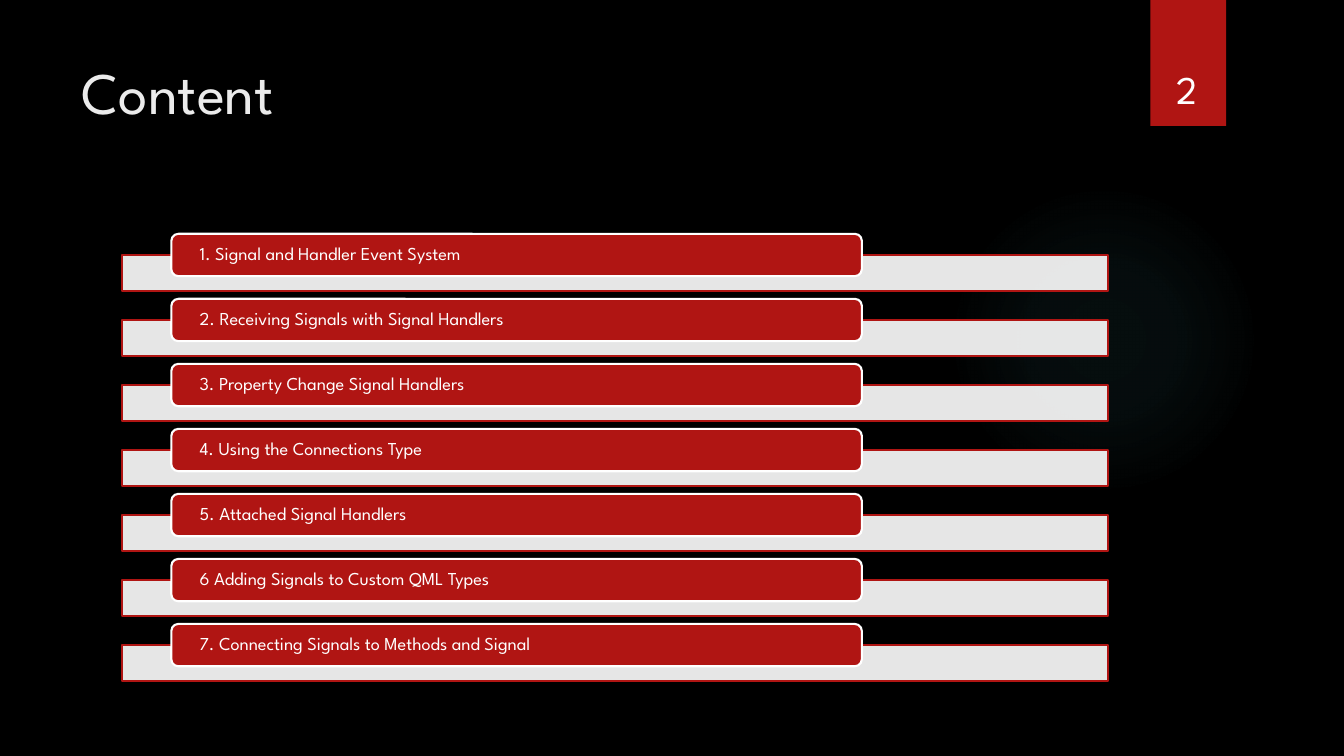
from dataclasses import dataclass

from lxml import etree
from pptx import Presentation
from pptx import util as u
from pptx.dml.color import RGBColor
from pptx.enum import shapes, text
from pptx.oxml import ns

WIDE, HIGH = u.Inches(13.333), u.Inches(7.5)
FONT = "League Spartan"
RED, WHITE, TEAL = "B01513", "FFFFFF", "50B9C1"
PITCH = 8.6
TOPICS = (
    "1. Signal and Handler Event System",
    "2. Receiving Signals with Signal Handlers",
    "3. Property Change Signal Handlers",
    "4. Using the Connections Type",
    "5. Attached Signal Handlers",
    "6 Adding Signals to Custom QML Types",
    "7. Connecting Signals to Methods and Signal",
)


@dataclass(frozen=True)
class Box:
    """A frame in percent of the slide's width and height."""
    x: float
    y: float
    w: float
    h: float

    def down(self, rows: int) -> "Box":
        """Return the frame moved down by list rows."""
        return Box(self.x, self.y + rows * PITCH, self.w, self.h)

    def emu(self) -> tuple:
        """Return left, top, width and height as lengths."""
        return tuple(round(part * side / 100) for part, side in
                     zip((self.x, self.y, self.w, self.h), (WIDE, HIGH) * 2))


@dataclass(frozen=True)
class Style:
    """The look of a shape."""
    kind: int
    fill: str
    line: str = ""
    alpha: int = 100


HALO = Box(70.58, 24.4, 23.1, 41.07)
FLAG = Box(85.6, 0, 5.63, 16.67)
TITLE = Box(5.33, 6.67, 77.18, 20.4)
STRIP = Box(9.08, 33.73, 73.35, 4.8)
PILL = Box(12.75, 30.93, 51.38, 5.6)
PAGE = Box(84.9, 4.27, 6.9, 11.2)
RECT = shapes.MSO_SHAPE.RECTANGLE
GLOW = Style(shapes.MSO_SHAPE.OVAL, TEAL)
BLOCK = Style(RECT, RED)
TRACK = Style(RECT, WHITE, RED, 90)
LABEL = Style(shapes.MSO_SHAPE.ROUNDED_RECTANGLE, RED, WHITE)


def tint(code: str) -> RGBColor:
    """Turn a hex string into a colour."""
    return RGBColor.from_string(code)


def fade(node, share: int) -> None:
    """Set the opacity of a colour node in percent."""
    etree.SubElement(node, ns.qn("a:alpha"), val=str(share * 1000))


def draw(slide, box: Box, style: Style):
    """Draw a filled shape."""
    shape = slide.shapes.add_shape(style.kind, *box.emu())
    shape.shadow.inherit = False
    shape.fill.solid()
    shape.fill.fore_color.rgb = tint(style.fill)
    if style.alpha < 100:
        fade(shape.element.spPr.find(".//" + ns.qn("a:srgbClr")), style.alpha)
    if style.line:
        shape.line.color.rgb = tint(style.line)
        shape.line.width = u.Pt(1.5)
    else:
        shape.line.fill.background()
    return shape


def glow(slide) -> None:
    """Draw the round halo that fades outwards."""
    props = draw(slide, HALO, GLOW).element.spPr
    solid = props.find(ns.qn("a:solidFill"))
    grad = etree.Element(ns.qn("a:gradFill"), rotWithShape="1")
    stops = etree.SubElement(grad, ns.qn("a:gsLst"))
    for place, share in ((0, 7), (36, 6), (69, 0)):
        stop = etree.SubElement(stops, ns.qn("a:gs"), pos=str(place * 1000))
        fade(etree.SubElement(stop, ns.qn("a:srgbClr"), val=TEAL), share)
    ring = etree.SubElement(grad, ns.qn("a:path"), {"path": "circle"})
    etree.SubElement(ring, ns.qn("a:fillToRect"),
                     {side: "50000" for side in "ltrb"})
    props.replace(solid, grad)


def write(shape, words: str, size: float, color: str, anchor, align):
    """Write one run into a shape and return its paragraph."""
    frame = shape.text_frame
    frame.word_wrap = True
    frame.auto_size = text.MSO_AUTO_SIZE.NONE
    frame.vertical_anchor = anchor
    para = frame.paragraphs[0]
    para.alignment = align
    run = para.add_run()
    run.text = words
    run.font.name = FONT
    run.font.size = u.Pt(size)
    run.font.color.rgb = tint(color)
    return para


def head(slide) -> None:
    """Place and fill the title."""
    title = slide.shapes.title
    title.left, title.top, title.width, title.height = TITLE.emu()
    write(title, "Content", 42, "EBEBEB",
          text.MSO_ANCHOR.TOP, text.PP_ALIGN.LEFT)
    title.element.getparent().append(title.element)


def topic(slide, row: int, words: str) -> None:
    """Draw one row of the list."""
    draw(slide, STRIP.down(row), TRACK)
    pill = draw(slide, PILL.down(row), LABEL)
    frame = pill.text_frame
    frame.margin_left = frame.margin_right = u.Inches(0.26)
    frame.margin_top = frame.margin_bottom = 0
    para = write(pill, words, 13, WHITE,
                 text.MSO_ANCHOR.MIDDLE, text.PP_ALIGN.LEFT)
    para.line_spacing = 0.9


def main() -> None:
    """Build and save the slide."""
    deck = Presentation()
    deck.slide_width, deck.slide_height = WIDE, HIGH
    slide = deck.slides.add_slide(deck.slide_layouts[5])
    back = slide.background.fill
    back.solid()
    back.fore_color.rgb = tint("000000")
    glow(slide)
    draw(slide, FLAG, BLOCK)
    head(slide)
    for row, words in enumerate(TOPICS):
        topic(slide, row, words)
    page = slide.shapes.add_textbox(*PAGE.emu())
    write(page, "2", 28, WHITE, text.MSO_ANCHOR.BOTTOM, text.PP_ALIGN.CENTER)
    deck.save("out.pptx")


if __name__ == "__main__":
    main()
